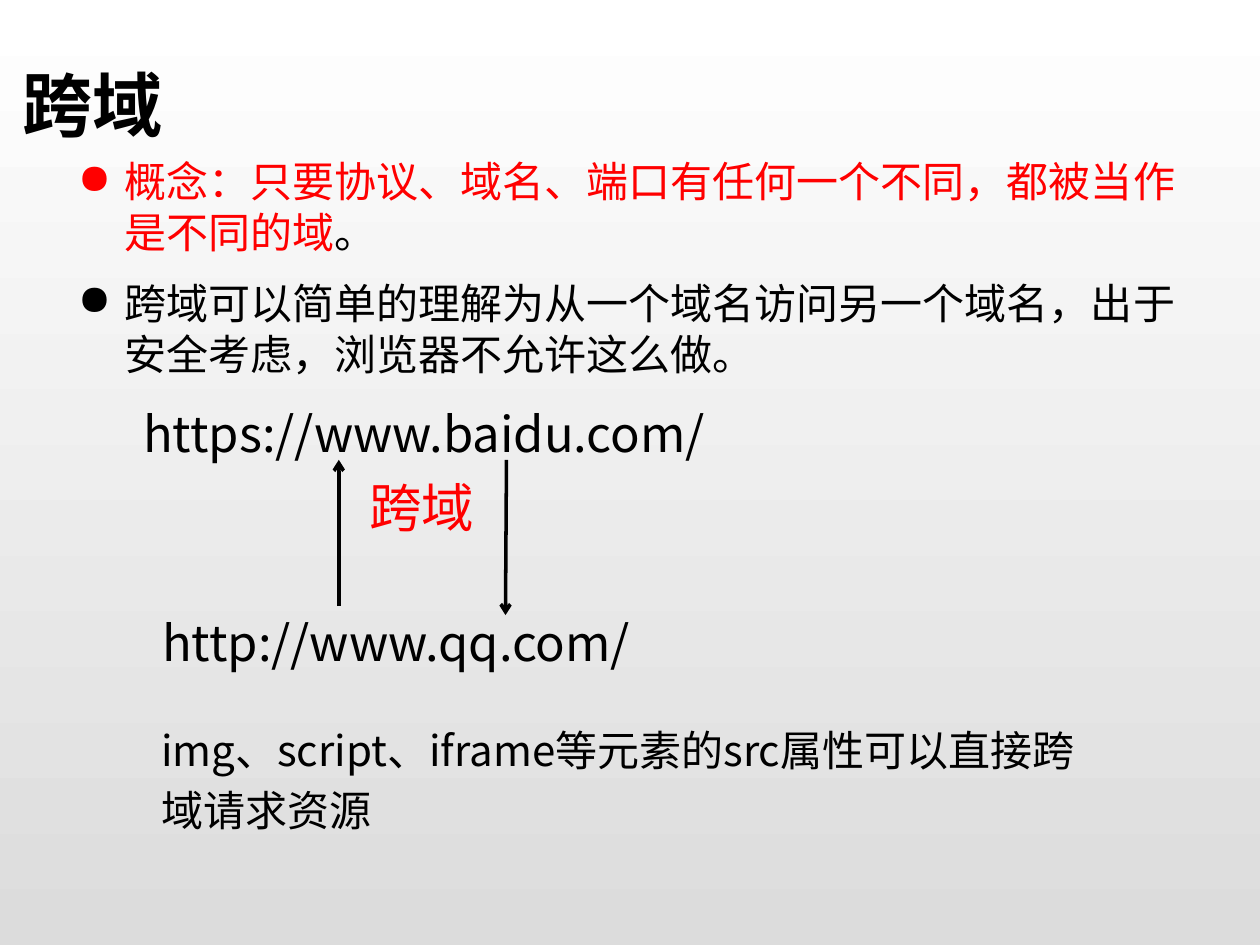
from lxml import etree
from pptx import Presentation
from pptx.dml.color import RGBColor
from pptx.enum.shapes import MSO_CONNECTOR
from pptx.enum.text import MSO_ANCHOR, MSO_AUTO_SIZE
from pptx.oxml.ns import qn
from pptx.util import Cm, Pt

STRAIGHT = MSO_CONNECTOR.STRAIGHT
MIDDLE = MSO_ANCHOR.MIDDLE
GROW = MSO_AUTO_SIZE.SHAPE_TO_FIT_TEXT

COLORS = {"black": "000000", "red": "FF0000", "top": "FFFFFF", "bottom": "DCDCDC"}
SANS = "Noto Sans CJK SC"

# Content: lengths in cm, each box as left, top, width, height
TITLE = ("跨域", (0, 1.19, 22.6, 1.8))
POINTS_BOX = (1.32, 3.02, 23.01, 4.75)
POINTS = [
    [("概念：只要协议、域名、端口有任何一个不同，都被当作是不同的域", "red"), ("。", "black")],
    [("跨域可以简单的理解为从一个域名访问另一个域名，出于安全考虑，浏览器不允许这么做。", "black")],
]
LABELS = [  # text, box, size, font, colour, line spacing
    ("https://www.baidu.com/", (2.64, 8, 19.89, 1.45), 28, SANS, "black", None),
    ("http://www.qq.com/", (3.02, 12.22, 18.82, 1.45), 28, SANS, "black", None),
    ("跨域", (7.19, 9.45, 2.69, 1.52), 30, "Cabin", "red", None),
    ("img、script、iframe等元素的src属性可以直接跨域请求资源",
     (3, 14.27, 19.23, 2.69), 24, SANS, "black", 1.2),
]
ARROWS = [  # start x, y, end x, y
    (10.21, 9.27, 10.19, 12.4),
    (6.83, 12.22, 6.83, 9.27),
]


def color(name):
    return RGBColor.from_string(COLORS[name])


def add_box(slide, box):
    frame = slide.shapes.add_textbox(*map(Cm, box)).text_frame
    frame.word_wrap = True
    return frame


def style(paragraph, size, font, tint, bold=False):
    paragraph.font.size = Pt(size)
    paragraph.font.bold = bold
    paragraph.font.color.rgb = color(tint)
    paragraph.font.name = font
    # Same typeface for the Chinese characters
    defaults = paragraph._p.pPr.find(qn("a:defRPr"))
    etree.SubElement(defaults, qn("a:ea"), typeface=SANS)


def add_bullet(paragraph, tint):
    props = paragraph._p.get_or_add_pPr()
    props.set("marL", str(Cm(0.95)))
    props.set("indent", str(-Cm(0.95)))
    bullet_color = etree.SubElement(props, qn("a:buClr"))
    etree.SubElement(bullet_color, qn("a:srgbClr"), val=COLORS[tint])
    etree.SubElement(props, qn("a:buChar"), char="●")


def add_arrow(slide, ends):
    arrow = slide.shapes.add_connector(STRAIGHT, *map(Cm, ends))
    arrow.line.color.rgb = color("black")
    arrow.line.width = Pt(2)
    etree.SubElement(arrow.line._get_or_add_ln(), qn("a:tailEnd"), type="arrow")
    etree.SubElement(arrow._element.spPr, qn("a:effectLst"))


prs = Presentation()
prs.slide_width, prs.slide_height = Cm(25.4), Cm(19.05)
slide = prs.slides.add_slide(prs.slide_layouts[6])

# Background gradient, top to bottom
fill = slide.background.fill
fill.gradient()
fill.gradient_angle = 270
for stop, name in zip(fill.gradient_stops, ("top", "bottom")):
    stop.color.rgb = color(name)

# Title
title, title_box = TITLE
frame = add_box(slide, title_box)
frame.vertical_anchor = MIDDLE
frame.margin_left = Cm(0.45)
frame.margin_top = frame.margin_right = frame.margin_bottom = Cm(0.1)
frame.paragraphs[0].text = title
style(frame.paragraphs[0], 40, "Arial", "black", bold=True)

# Bulleted points
frame = add_box(slide, POINTS_BOX)
frame.auto_size = GROW
for i, parts in enumerate(POINTS):
    point = frame.add_paragraph() if i else frame.paragraphs[0]
    lead_color = parts[0][1]
    add_bullet(point, lead_color)
    style(point, 24, SANS, lead_color)
    point.space_before = Pt(6 if i else 0)
    point.space_after = Pt(6)
    for text, tint in parts:
        run = point.add_run()
        run.text = text
        if tint != lead_color:
            run.font.color.rgb = color(tint)

# Arrows between the two addresses
for ends in ARROWS:
    add_arrow(slide, ends)

# Addresses, arrow caption and closing remark
for text, box, size, font, tint, spacing in LABELS:
    frame = add_box(slide, box)
    frame.auto_size = GROW
    label = frame.paragraphs[0]
    label.text = text
    style(label, size, font, tint)
    if spacing:
        label.line_spacing = spacing

prs.save("out.pptx")
